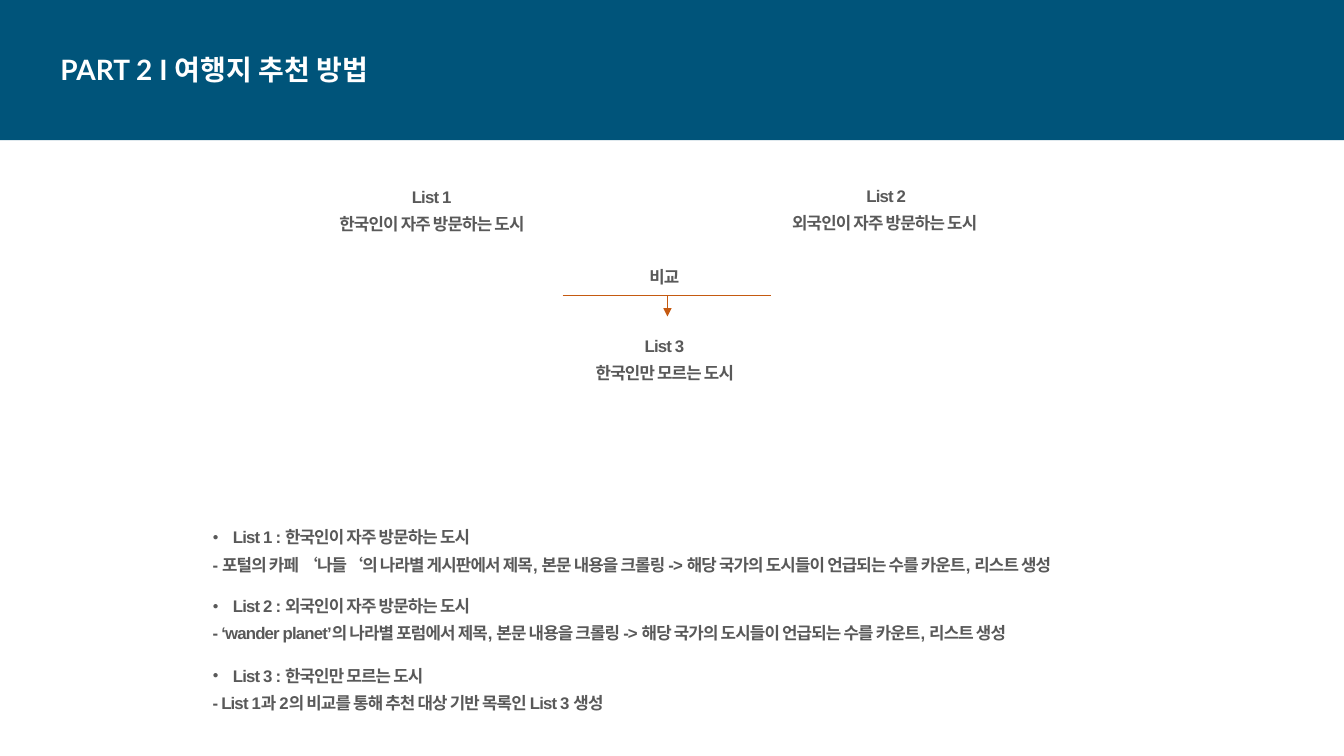
from lxml import etree
from pptx import Presentation
from pptx.dml.color import RGBColor
from pptx.enum.shapes import MSO_CONNECTOR, MSO_SHAPE
from pptx.enum.text import MSO_ANCHOR, MSO_AUTO_SIZE, PP_ALIGN
from pptx.oxml.ns import qn
from pptx.util import Emu, Pt

LEFT, CENTER = PP_ALIGN.LEFT, PP_ALIGN.CENTER
TOP = MSO_ANCHOR.TOP
FIT_SHAPE = MSO_AUTO_SIZE.SHAPE_TO_FIT_TEXT
STRAIGHT = MSO_CONNECTOR.STRAIGHT
RECTANGLE = MSO_SHAPE.RECTANGLE
TITLE_ONLY = 5
EMU_PER_PX = 9144


def px(length):
    return Emu(length * EMU_PER_PX)


def rgb(color):
    return RGBColor.from_string(color)


def add_element(parent, tag, **attributes):
    element = etree.SubElement(parent, qn(tag))
    for name, value in attributes.items():
        element.set(name, value)
    return element


def write(paragraph, text, size=12, font="Arial", color="595959", spacing=-60,
          align=LEFT, before=0):
    paragraph.alignment = align
    paragraph.space_before = Pt(before)
    run = paragraph.add_run()
    run.text = text
    run.font.size = Pt(size)
    run.font.name = font
    run.font.bold = True
    run.font.color.rgb = rgb(color)
    if spacing:
        run._r.get_or_add_rPr().set("spc", str(spacing))


class SlideBuilder:
    band_color = "00547A"
    text_color = "595959"
    line_color = "C55A11"

    def __init__(self, presentation):
        self.slide = presentation.slides.add_slide(presentation.slide_layouts[TITLE_ONLY])

    def prepare_frame(self, shape):
        frame = shape.text_frame
        frame.margin_left = frame.margin_top = frame.margin_right = frame.margin_bottom = 0
        frame.vertical_anchor = TOP
        frame.word_wrap = True
        frame.auto_size = FIT_SHAPE
        return frame

    def band(self, left, top, width, height):
        shape = self.slide.shapes.add_shape(RECTANGLE, px(left), px(top), px(width), px(height))
        shape.shadow.inherit = False
        shape.fill.solid()
        shape.fill.fore_color.rgb = rgb(self.band_color)
        shape.line.fill.background()
        shape.element.getparent().insert(2, shape.element)

    def title(self, text, left, top, width, height):
        shape = self.slide.shapes.title
        shape.left, shape.top, shape.width, shape.height = map(px, (left, top, width, height))
        frame = self.prepare_frame(shape)
        write(frame.paragraphs[0], text, size=20, font="Lato", color="FFFFFF", spacing=0)

    def text(self, lines, left, top, width, height, align=LEFT, bulleted=False):
        shape = self.slide.shapes.add_textbox(px(left), px(top), px(width), px(height))
        frame = self.prepare_frame(shape)
        for index, line in enumerate(lines):
            paragraph = frame.add_paragraph() if index else frame.paragraphs[0]
            if bulleted and index == 0:
                self.bullet(paragraph)
            write(paragraph, line, color=self.text_color, align=align, before=5 if index else 0)

    def bullet(self, paragraph):
        properties = paragraph._p.get_or_add_pPr()
        properties.set("marL", str(px(20)))
        properties.set("indent", str(px(-20)))
        bullet_color = add_element(properties, "a:buClr")
        add_element(bullet_color, "a:srgbClr", val=self.text_color)
        add_element(properties, "a:buSzPct", val="60000")
        add_element(properties, "a:buFont", typeface="Arial")
        add_element(properties, "a:buChar", char="●")

    def line(self, start_x, start_y, end_x, end_y, arrow=False):
        connector = self.slide.shapes.add_connector(
            STRAIGHT, px(start_x), px(start_y), px(end_x), px(end_y))
        connector.line.color.rgb = rgb(self.line_color)
        connector.line.width = Pt(0.5)
        if arrow:
            add_element(connector.line._get_or_add_ln(), "a:tailEnd", type="triangle")
        add_element(connector.element.spPr, "a:effectLst")


def main():
    presentation = Presentation()
    presentation.slide_width = px(1333)
    presentation.slide_height = px(750)

    builder = SlideBuilder(presentation)
    builder.band(0, 0, 1333, 139)
    builder.title("PART 2 I 여행지 추천 방법", 60, 52, 515, 34)

    city_lists = [
        ("List 1 ", "한국인이 자주 방문하는 도시 ", 307, 185),
        ("List 2", "외국인이 자주 방문하는 도시 ", 756, 184),
        ("List 3 ", "한국인만 모르는 도시 ", 538, 333),
    ]
    for name, description, left, top in city_lists:
        builder.text([name, description], left, top, 246, 47, align=CENTER)

    builder.text(["비교"], 644, 265, 40, 20)
    builder.line(558, 293, 765, 293)
    builder.line(662, 293, 662, 314, arrow=True)

    explanations = [
        ("List 1 : 한국인이 자주 방문하는 도시",
         "- 포털의 카페 ‘나들‘의 나라별 게시판에서 제목, 본문 내용을 크롤링 -> "
         "해당 국가의 도시들이 언급되는 수를 카운트, 리스트 생성"),
        ("List 2 : 외국인이 자주 방문하는 도시",
         "- ‘wander planet’의 나라별 포럼에서 제목, 본문 내용을 크롤링 -> "
         "해당 국가의 도시들이 언급되는 수를 카운트, 리스트 생성"),
        ("List 3 : 한국인만 모르는 도시",
         "- List 1과 2의 비교를 통해 추천 대상 기반 목록인 List 3 생성"),
    ]
    for row, lines in enumerate(explanations):
        builder.text(lines, 211, 523 + row * 137 // 2, 1147, 47, bulleted=True)

    presentation.save("out.pptx")


if __name__ == "__main__":
    main()
